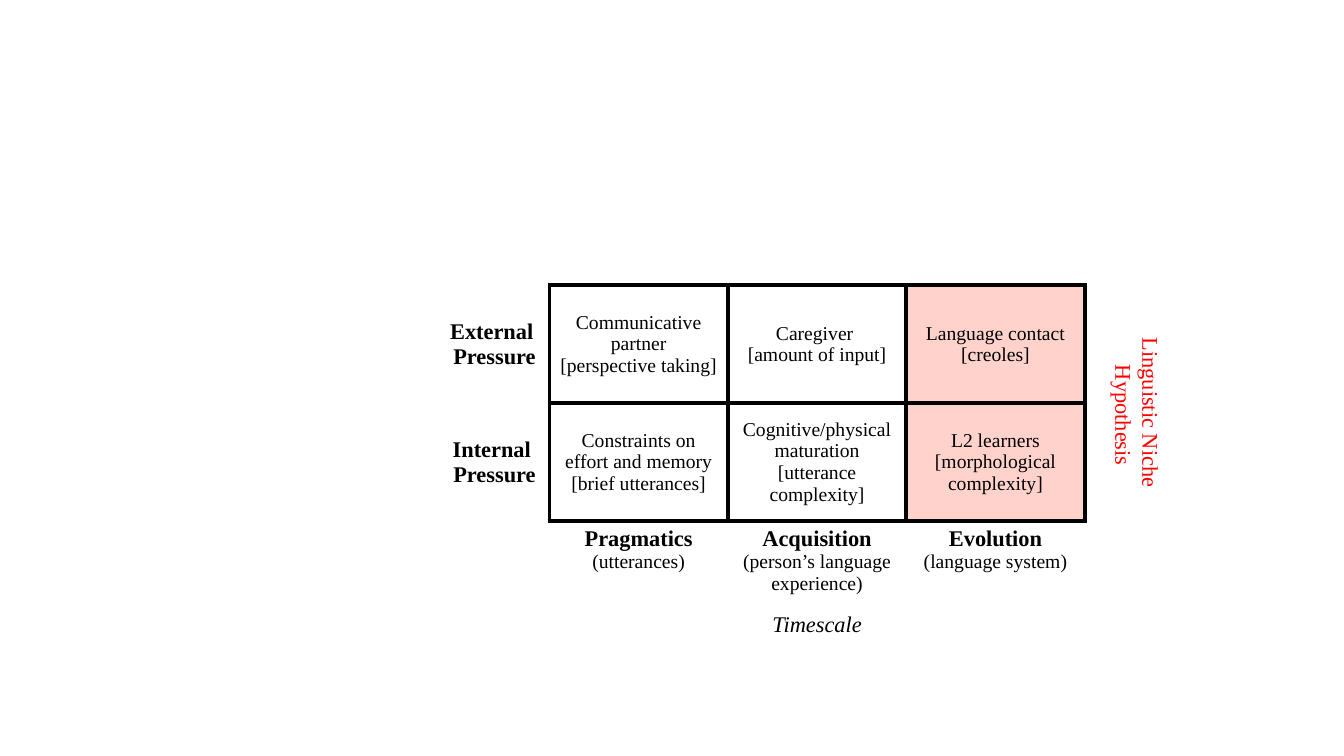
import pptx
import pptx.util
import pptx.dml.color
import pptx.enum.text
import pptx.oxml
import pptx.oxml.ns
from dataclasses import dataclass
from pptx.util import Inches


@dataclass(frozen=True)
class Theme:
    font: str = "Times New Roman"
    ink: str = "000000"
    accent: str = "FF0000"
    highlight: str = "FF2500"
    highlight_alpha: int = 20
    heading_size: int = 16
    body_size: int = 14
    border: int = 3


theme = Theme()


def write_lines(frame, lines, color=theme.ink):
    """Fill a text frame with centred (text, size, bold, italic) lines."""
    for number, (text, size, bold, italic) in enumerate(lines):
        paragraph = frame.paragraphs[0] if number == 0 else frame.add_paragraph()
        paragraph.alignment = pptx.enum.text.PP_ALIGN.CENTER
        run = paragraph.add_run()
        run.text = text
        run.font.name = theme.font
        run.font.size = pptx.util.Pt(size)
        run.font.bold = bold
        run.font.italic = italic
        run.font.color.rgb = pptx.dml.color.RGBColor.from_string(color)


def set_borders(cell, drawn_sides):
    """Draw the given sides (of L, R, T, B) and hide the others."""
    for position, side in enumerate("LRTB"):
        paint = (f'<a:solidFill><a:srgbClr val="{theme.ink}"/></a:solidFill>'
                 if side in drawn_sides else "<a:noFill/>")
        cell._tc.get_or_add_tcPr().insert(position, pptx.oxml.parse_xml(
            f'<a:ln{side} {pptx.oxml.ns.nsdecls("a")} '
            f'w="{pptx.util.Pt(theme.border)}">{paint}</a:ln{side}>'))


presentation = pptx.Presentation()
presentation.slide_width = Inches(13.33)
presentation.slide_height = Inches(7.5)
slide = presentation.slides.add_slide(presentation.slide_layouts[6])

# Content: pressures down the side, timescales along the bottom
pressures = [
    (["External ", "Pressure"], [
        ["Communicative partner", "[perspective taking]"],
        ["Caregiver ", "[amount of input]"],
        ["Language contact", "[creoles]"]]),
    (["Internal ", "Pressure"], [
        ["Constraints on effort and memory", "[brief utterances]"],
        ["Cognitive/physical maturation", "[utterance complexity]"],
        ["L2 learners", "[morphological complexity]"]]),
]
timescales = [
    ("Pragmatics", "(utterances)"),
    ("Acquisition", "(person’s language experience)"),
    ("Evolution", "(language system)"),
]
evolution_column = len(timescales)
timescale_row = len(pressures)
caption_row = timescale_row + 1

# Table frame
column_widths = [1.09] + [1.77] * len(timescales)
row_heights = [1.17, 1.17, 0.86, 0.69]
matrix = slide.shapes.add_table(
    len(row_heights), len(column_widths), Inches(4.36), Inches(2.83),
    Inches(sum(column_widths)), Inches(sum(row_heights))).table
matrix.first_row = False
matrix.horz_banding = False
for column, width in zip(matrix.columns, column_widths):
    column.width = Inches(width)
for row, height in zip(matrix.rows, row_heights):
    row.height = Inches(height)

# Fills and borders
for r in range(len(row_heights)):
    for c in range(len(column_widths)):
        cell = matrix.cell(r, c)
        in_grid = r < timescale_row
        if in_grid and c == evolution_column:
            cell.fill.solid()
            cell.fill.fore_color.rgb = pptx.dml.color.RGBColor.from_string(theme.highlight)
            tint = cell._tc.tcPr.find(".//" + pptx.oxml.ns.qn("a:srgbClr"))
            tint.append(pptx.oxml.parse_xml(
                f'<a:alpha {pptx.oxml.ns.nsdecls("a")} val="{theme.highlight_alpha * 1000}"/>'))
        else:
            cell.fill.background()
        if in_grid:
            cell.vertical_anchor = pptx.enum.text.MSO_ANCHOR.MIDDLE
            set_borders(cell, "LRTB" if c else "R")
        else:
            set_borders(cell, "T" if r == timescale_row and c else "")

# Pressure labels and their cells
for r, (label, entries) in enumerate(pressures):
    write_lines(matrix.cell(r, 0).text_frame,
                [(text, theme.heading_size, True, False) for text in label])
    for c, entry in enumerate(entries, start=1):
        write_lines(matrix.cell(r, c).text_frame,
                    [(text, theme.body_size, False, False) for text in entry])

# Timescale labels and the caption below them
for c, (name, unit) in enumerate(timescales, start=1):
    write_lines(matrix.cell(timescale_row, c).text_frame,
                [(name, theme.heading_size, True, False),
                 (unit, theme.body_size, False, False)])
caption = matrix.cell(caption_row, 1)
caption.merge(matrix.cell(caption_row, evolution_column))
write_lines(caption.text_frame, [("Timescale", theme.heading_size, False, True)])

# Hypothesis beside the evolution column
hypothesis = slide.shapes.add_textbox(Inches(10.31), Inches(3.8), Inches(1.94), Inches(0.64))
hypothesis.rotation = 90
hypothesis.text_frame.word_wrap = True
hypothesis.text_frame.auto_size = pptx.enum.text.MSO_AUTO_SIZE.SHAPE_TO_FIT_TEXT
write_lines(hypothesis.text_frame,
            [(text, theme.heading_size, False, False)
             for text in ("Linguistic Niche ", "Hypothesis")], theme.accent)

presentation.save("out.pptx")
